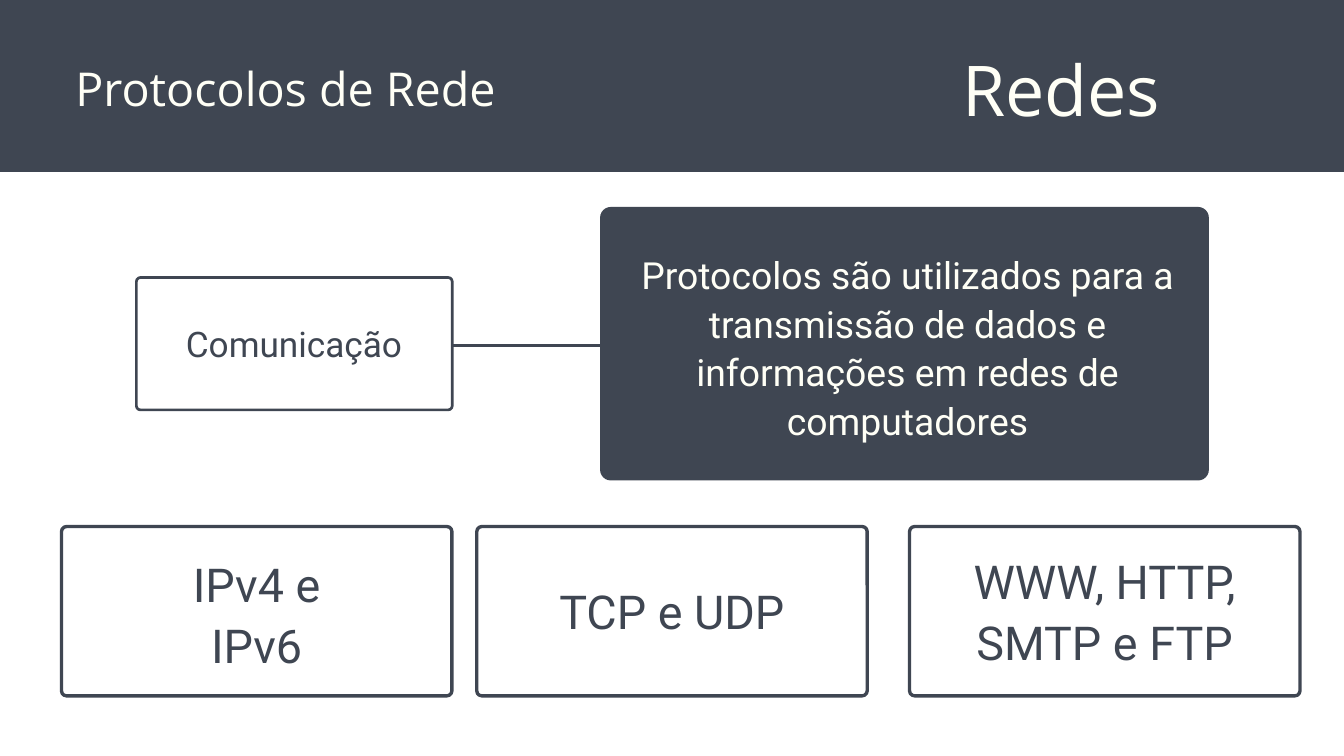
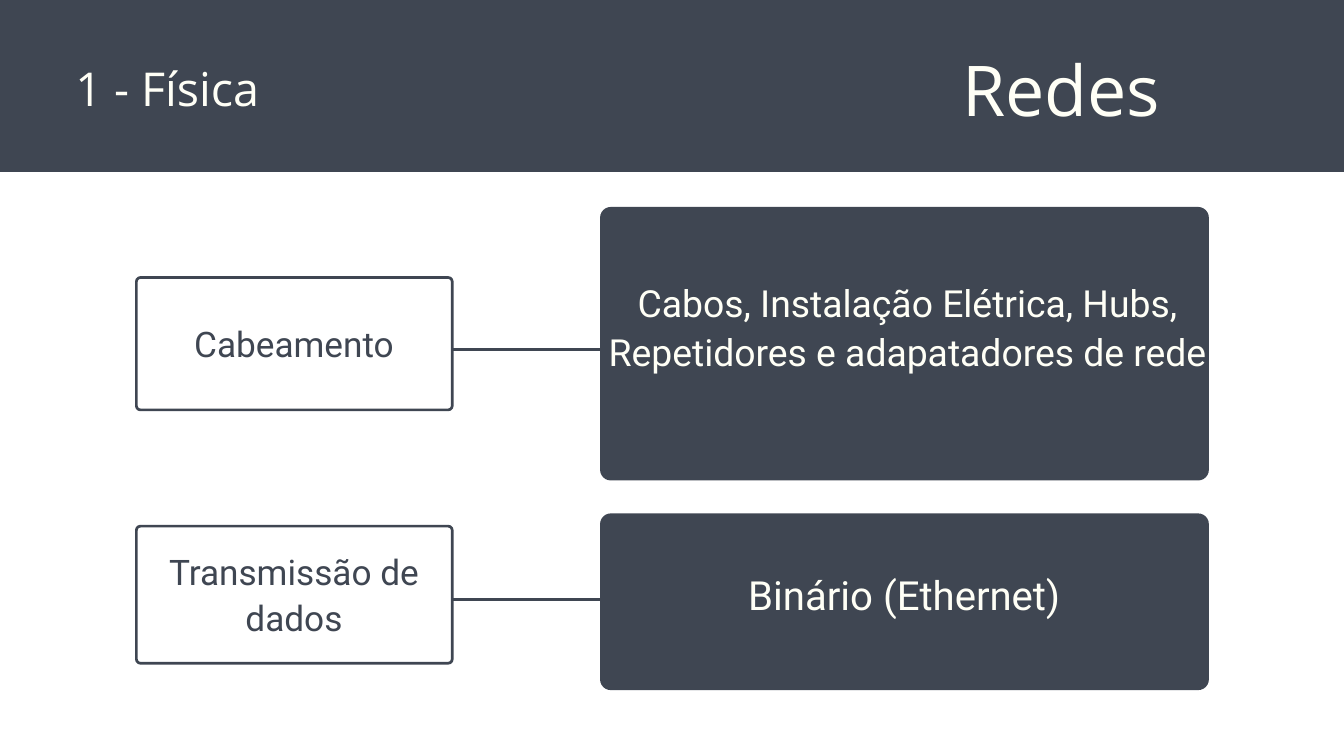
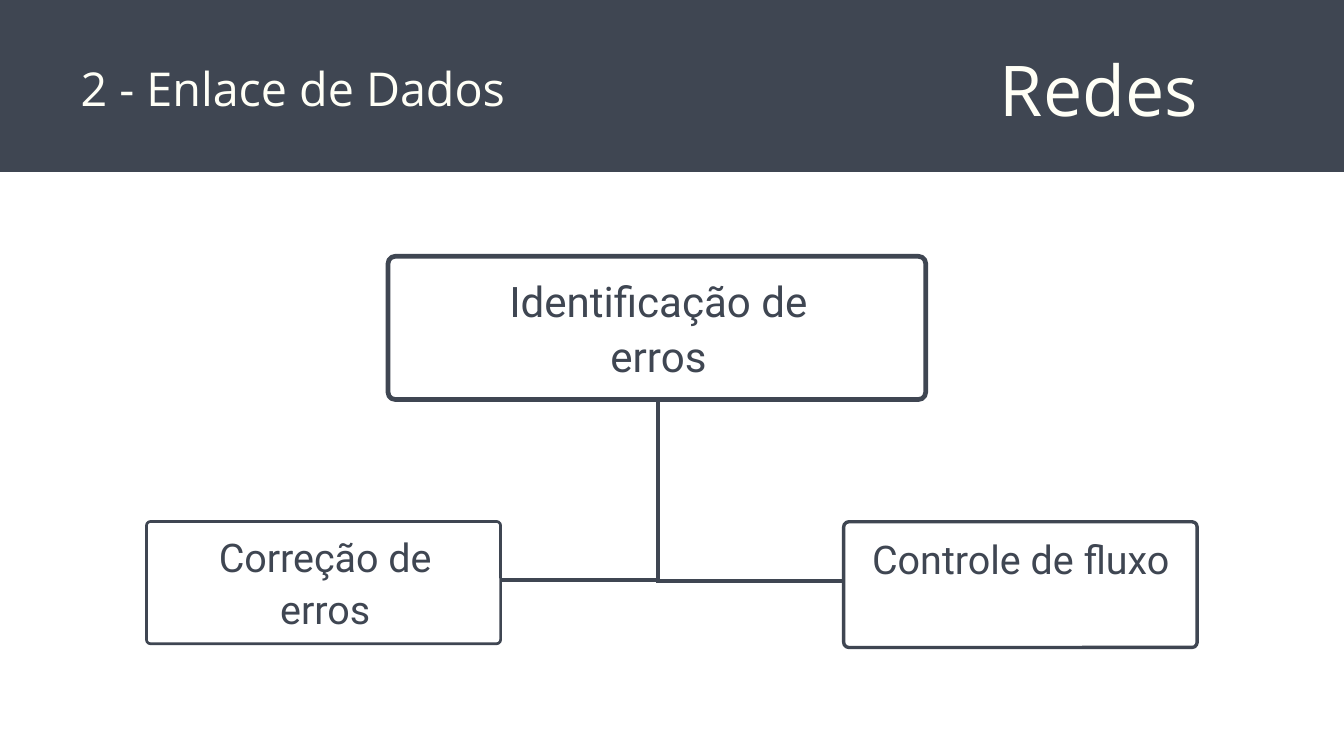
from lxml import etree
from pptx import Presentation
from pptx.dml.color import RGBColor
from pptx.enum.shapes import MSO_CONNECTOR, MSO_SHAPE
from pptx.enum.text import PP_ALIGN
from pptx.oxml.ns import qn
from pptx.util import Pt

RECTANGLE = MSO_SHAPE.RECTANGLE
ROUNDED = MSO_SHAPE.ROUNDED_RECTANGLE
STRAIGHT = MSO_CONNECTOR.STRAIGHT
LEFT, CENTER = PP_ALIGN.LEFT, PP_ALIGN.CENTER

EMU_PER_PX = 9144  # 100 px to the inch
POINTS_PER_PX = 0.72
SLIDE_WIDTH, SLIDE_HEIGHT, BAND_HEIGHT = 2000, 1125, 256

SLATE, IVORY, WHITE = "3F4652", "FFFFF6", "FFFFFF"
HEADING_FONT, BODY_FONT = "Open Sans", "Roboto"
LINE_SPACING = {HEADING_FONT: 1.4, BODY_FONT: 1.3}

TOPIC = "Redes"
TOPIC_BOX = (1298, 49, 563, 142)
TITLE_BOX = (112, 75, 742, 94)

LABEL_FRAME = (201, 411, 474, 201)
LABEL_TEXT = (234, 475, 407, 67)
DETAIL_PANEL = (893, 308, 906, 407)
PROTOCOL_TOP, PROTOCOL_WIDTH, PROTOCOL_HEIGHT = 781, 586, 257
PROTOCOL_LEFTS = (89, 707, 1351)

# frames: (box, stroke); panels: box; texts: (text, box, size, colour)
# links: (x1, y1, x2, y2, stroke)
SLIDES = [
    {
        "title": "Protocolos de Rede",
        "frames": [(LABEL_FRAME, 4)]
        + [((left, PROTOCOL_TOP, PROTOCOL_WIDTH, PROTOCOL_HEIGHT), 5) for left in PROTOCOL_LEFTS],
        "panels": [DETAIL_PANEL],
        "texts": [
            ("Comunicação", LABEL_TEXT, 37.7, SLATE),
            ("Protocolos são utilizados para a transmissão de dados e "
             "informações em redes de computadores", (902, 370, 897, 287), 40, IVORY),
            ("IPv4 e IPv6", (213, 820, 338, 178), 50, SLATE),
            ("TCP e UDP", (780, 861, 440, 90), 50, SLATE),
            ("WWW, HTTP, SMTP e FTP", (1351, 816, 586, 180), 50, SLATE),
        ],
        "links": [(672, 514, 902, 514, 5)],
    },
    {
        "title": "1 - Física",
        "frames": [(LABEL_FRAME, 4), ((201, 781, 474, 208), 4)],
        "panels": [DETAIL_PANEL, (893, 764, 906, 263)],
        "texts": [
            ("Cabeamento", LABEL_TEXT, 37.7, SLATE),
            ("Cabos, Instalação Elétrica, Hubs, Repetidores e adapatadores de rede",
             (902, 412, 897, 215), 40, IVORY),
            ("Transmissão de dados", (234, 814, 407, 133), 37.7, SLATE),
            ("Binário (Ethernet)", (941, 843, 809, 76), 43, IVORY),
        ],
        "links": [(672, 520, 912, 520, 5), (672, 892, 902, 892, 5)],
    },
    {
        "title": "2 - Enlace de Dados",
        "title_box": (120, 75, 742, 94),
        "topic_box": (1384, 49, 503, 142),
        "frames": [
            ((216, 774, 531, 186), 4),
            ((1253, 774, 531, 192), 5),
            ((574, 378, 807, 220), 7),
        ],
        "texts": [
            ("Correção de erros", (256, 788, 456, 149), 42.3, SLATE),
            ("Controle de fluxo", (1291, 791, 456, 149), 42.3, SLATE),
            ("Identificação de erros", (737, 404, 486, 158), 45.1, SLATE),
        ],
        "links": [
            (747, 863, 979, 863, 6),
            (982, 864, 1254, 864, 6),
            (979, 595, 979, 867, 6),
        ],
    },
]


def px(*lengths):
    return [round(length * EMU_PER_PX) for length in lengths]


def rgb(value):
    return RGBColor.from_string(value)


def add_box(slide, box, kind=RECTANGLE, radius=0):
    """Add a slate shape without outline."""
    shape = slide.shapes.add_shape(kind, *px(*box))
    shape.shadow.inherit = False
    shape.fill.solid()
    shape.fill.fore_color.rgb = rgb(SLATE)
    shape.line.fill.background()
    if radius:
        shape.adjustments[0] = radius / min(box[2:])
    return shape


def add_frame(slide, box, stroke):
    """Add a rounded outline whose outer edge fills the box."""
    left, top, width, height = box
    inner = (left + stroke / 2, top + stroke / 2, width - stroke, height - stroke)
    shape = add_box(slide, inner, ROUNDED, 1.5 * stroke)
    shape.fill.background()
    shape.line.color.rgb = rgb(SLATE)
    shape.line.width = Pt(stroke * POINTS_PER_PX)


def add_link(slide, x1, y1, x2, y2, stroke):
    connector = slide.shapes.add_connector(STRAIGHT, *px(x1, y1, x2, y2))
    connector.line.color.rgb = rgb(SLATE)
    connector.line.width = Pt(stroke * POINTS_PER_PX)
    etree.SubElement(connector._element.spPr, qn("a:effectLst"))


def add_text(slide, text, box, size, color, font=BODY_FONT, align=CENTER):
    frame = slide.shapes.add_textbox(*px(*box)).text_frame
    frame.word_wrap = True
    frame.margin_left = frame.margin_right = frame.margin_top = frame.margin_bottom = 0
    frame.text = text
    paragraph = frame.paragraphs[0]
    paragraph.alignment = align
    paragraph.line_spacing = Pt(round(size * LINE_SPACING[font], 1))
    run_font = paragraph.runs[0].font
    run_font.name = font
    run_font.size = Pt(size)
    run_font.color.rgb = rgb(color)


def add_header(slide, content):
    add_box(slide, (0, 0, SLIDE_WIDTH, BAND_HEIGHT))
    add_text(slide, TOPIC, content.get("topic_box", TOPIC_BOX), 75, IVORY, HEADING_FONT)
    add_text(slide, content["title"], content.get("title_box", TITLE_BOX), 50, IVORY,
             HEADING_FONT, LEFT)


def build_slide(presentation, content):
    slide = presentation.slides.add_slide(presentation.slide_layouts[6])
    slide.background.fill.solid()
    slide.background.fill.fore_color.rgb = rgb(WHITE)
    add_header(slide, content)
    for box, stroke in content["frames"]:
        add_frame(slide, box, stroke)
    for box in content.get("panels", []):
        add_box(slide, box, ROUNDED, 16)
    for link in content["links"]:
        add_link(slide, *link)
    for text in content["texts"]:
        add_text(slide, *text)


def main():
    presentation = Presentation()
    presentation.slide_width, presentation.slide_height = px(SLIDE_WIDTH, SLIDE_HEIGHT)
    for content in SLIDES:
        build_slide(presentation, content)
    presentation.save("out.pptx")


if __name__ == "__main__":
    main()
